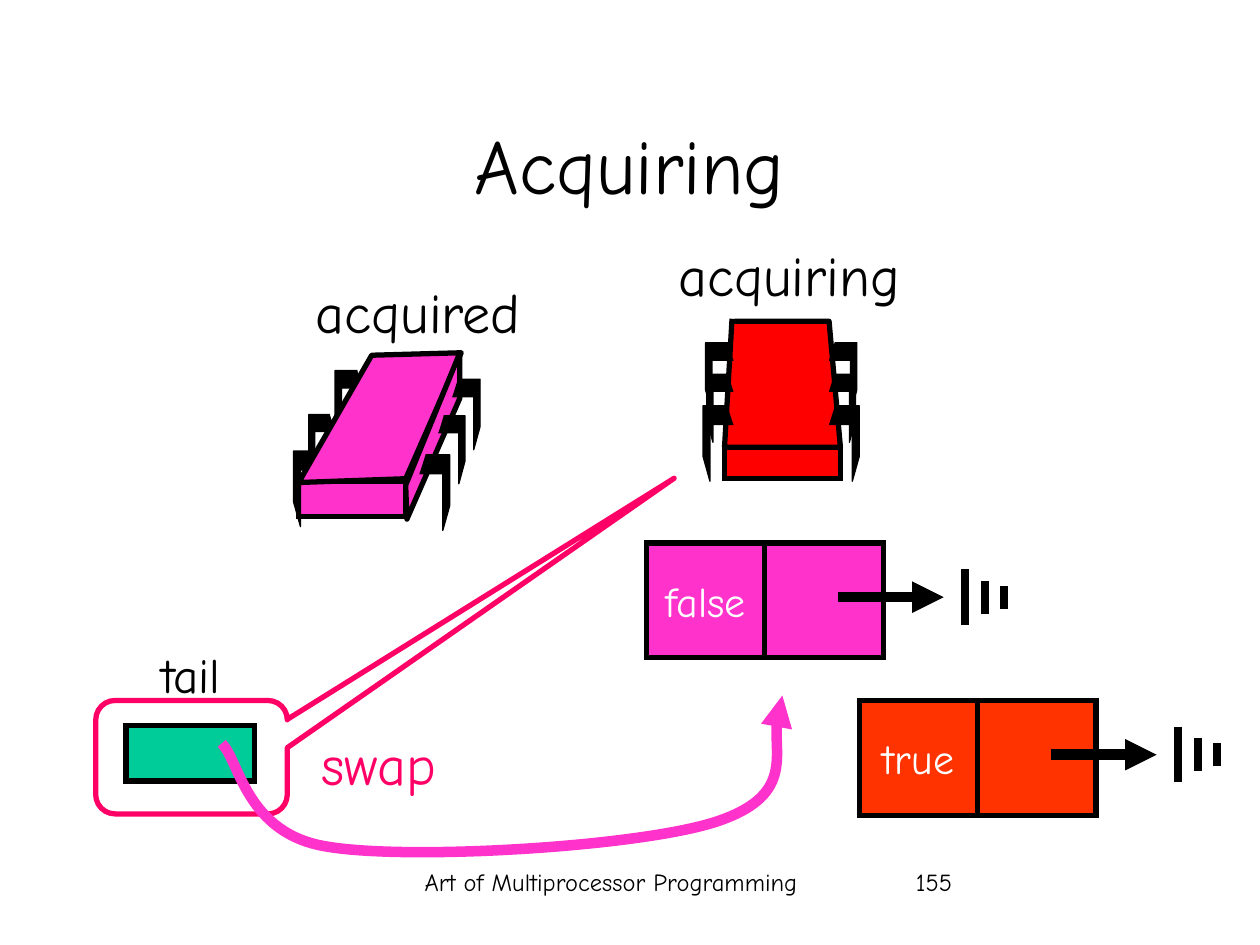
from lxml.etree import SubElement
from pptx import Presentation
from pptx.dml.color import RGBColor
from pptx.enum.shapes import MSO_CONNECTOR, MSO_SHAPE
from pptx.enum.text import MSO_ANCHOR, MSO_AUTO_SIZE, PP_ALIGN
from pptx.oxml.ns import qn
from pptx.util import Inches, Pt

CELL = Inches(1)
COLS, ROWS = 10, 7.5
FONT = "Comic Neue"
BLACK, WHITE, GREEN = "000000", "FFFFFF", "00CC99"
PINK, RED, ORANGE, ROSE = "FF33CC", "FF0000", "FF3300", "FF0066"
LEFT, CENTER, RIGHT = PP_ALIGN.LEFT, PP_ALIGN.CENTER, PP_ALIGN.RIGHT


def grid(*values):
    return [round(v * CELL) for v in values]


def paint(fill, color):
    if color is None:
        fill.background()
    else:
        fill.solid()
        fill.fore_color.rgb = RGBColor.from_string(color)


def apply(obj, formats):
    for name, value in formats.items():
        setattr(obj, name, value)


def outline(sp, color, width):
    paint(sp.line.fill, color)
    sp.line.width = Pt(width)
    return sp.line._get_or_add_ln()


def arrowhead(ln):
    SubElement(ln, qn("a:tailEnd"), type="triangle")


def write(sp, text, size, color, align, anchor, wrap, grow=False):
    tf = sp.text_frame
    size_rule = MSO_AUTO_SIZE.SHAPE_TO_FIT_TEXT if grow else MSO_AUTO_SIZE.NONE
    apply(tf, {"word_wrap": wrap, "vertical_anchor": anchor, "auto_size": size_rule})
    p = tf.paragraphs[0]
    p.alignment = align
    r = p.add_run()
    r.text = text
    apply(r.font, {"size": Pt(size), "name": FONT})
    paint(r.font.fill, color)


def label(shapes, box, text, size, color=BLACK, align=CENTER,
          anchor=MSO_ANCHOR.TOP, wrap=True, grow=False):
    sp = shapes.add_textbox(*grid(*box))
    write(sp, text, size, color, align, anchor, wrap, grow)


def block(shapes, kind, box, fill, line=BLACK):
    sp = shapes.add_shape(kind, *grid(*box))
    sp.shadow.inherit = False
    paint(sp.fill, fill)
    ln = outline(sp, line, 3)
    if kind == MSO_SHAPE.RECTANGLE:
        SubElement(ln, qn("a:miter"), lim="800000")
    return sp


def line(shapes, start, end, width, arrow=False):
    c = shapes.add_connector(MSO_CONNECTOR.STRAIGHT, *grid(*start, *end))
    ln = outline(c, BLACK, width)
    if arrow:
        arrowhead(ln)
    SubElement(c._element.spPr, qn("a:effectLst"))


def outline_shape(shapes, points, fill, color=BLACK, width=3, close=False):
    first, *rest = [grid(*point) for point in points]
    builder = shapes.build_freeform(*first)
    builder.add_line_segments(rest, close=close)
    sp = builder.convert_to_shape()
    sp.shadow.inherit = False
    paint(sp.fill, fill)
    outline(sp, color, width)
    return sp


def curved_arrow(shapes, points, color):
    sp = outline_shape(shapes, points, None, color, 6)
    segments = list(sp._element.iter(qn("a:lnTo")))
    for i in range(0, len(segments), 3):
        curve = SubElement(segments[i].getparent(), qn("a:cubicBezTo"))
        for segment in segments[i:i + 3]:
            curve.append(segment[0])
            segment.getparent().remove(segment)
    arrowhead(sp.line._get_or_add_ln())


def leg(shapes, x, y, w, h, left):
    profile = [(0.8, 0), (0, 0), (0, 0.67), (0.23, 1), (0.23, 0.25), (1, 0.25)]
    points = [(x + w * (u if left else 1 - u), y + h * v) for u, v in profile]
    outline_shape(shapes, points, BLACK, width=0.75)


def legs(shapes, places, left):
    for (x, y), (w, h) in zip(places, [(0.24, 0.6), (0.21, 0.54), (0.22, 0.56)]):
        leg(shapes, x, y, w, h, left)


def node(s, x, y, text, fill):
    w, h = 0.94, 0.91
    flag, link = [block(s.shapes, MSO_SHAPE.RECTANGLE, (x + i * w, y, w, h), fill)
                  for i in range(2)]
    write(flag, text, 24, WHITE, CENTER, MSO_ANCHOR.MIDDLE, False)
    mid = y + 0.43
    line(s.shapes, (x + 1.52, mid), (x + 2.36, mid), 6, arrow=True)
    ground = s.shapes.add_group_shape().shapes
    for i, half in enumerate((0.22, 0.13, 0.09)):
        bar = x + 2.53 + i * 0.155
        line(ground, (bar, mid - half), (bar, mid + half), 4.5)


def acquired_thread(s):
    shapes = s.shapes.add_group_shape().shapes
    block(shapes, MSO_SHAPE.RECTANGLE, (2.37, 3.82, 0.85, 0.28), PINK)
    legs(shapes, [(2.33, 3.58), (2.45, 3.29), (2.66, 2.94)], True)
    top = [(2.37, 3.83), (3.22, 3.8), (3.66, 2.8), (2.95, 2.82)]
    side = [(3.65, 2.8), (3.65, 3.16), (3.23, 4.12), (3.22, 3.85)]
    for face in (top, side):
        outline_shape(shapes, face, PINK, close=True)
    legs(shapes, [(3.33, 3.61), (3.48, 3.3), (3.59, 3.01)], False)
    label(shapes, (2.34, 2.15, 1.96, 0.63), "acquired", 32, wrap=False, grow=True)


def acquiring_thread(s):
    shapes = s.shapes.add_group_shape().shapes
    block(shapes, MSO_SHAPE.RECTANGLE, (5.75, 3.55, 0.92, 0.25), RED)
    top = [(5.83, 2.55), (6.58, 2.55), (6.67, 3.55), (5.75, 3.55), (5.81, 2.53)]
    outline_shape(shapes, top, RED)
    rows = [3.22, 2.97, 2.72]
    legs(shapes, [(6.58, y) for y in rows], False)
    legs(shapes, zip((5.58, 5.61, 5.6), rows), True)
    label(shapes, (5.24, 1.86, 2.05, 0.63), "acquiring", 32, wrap=False, grow=True)


def main():
    prs = Presentation()
    prs.slide_width, prs.slide_height = grid(COLS, ROWS)
    s = prs.slides.add_slide(prs.slide_layouts[6])
    label(s.shapes, (2.89, 6.83, 3.92, 0.5), "Art of Multiprocessor Programming", 14)
    label(s.shapes, (7.17, 6.83, 2.08, 0.5), "155", 14, align=LEFT)
    label(s.shapes, (0.75, 0.67, 8.5, 1.25), "Acquiring", 44, anchor=MSO_ANCHOR.MIDDLE)
    block(s.shapes, MSO_SHAPE.RECTANGLE, (1, 5.76, 1.02, 0.44), GREEN)
    label(s.shapes, (0.82, 5.07, 1.03, 0.57), "tail", 28, align=RIGHT, grow=True)
    node(s, 5.13, 4.31, "false", PINK)
    acquired_thread(s)
    acquiring_thread(s)
    node(s, 6.82, 5.56, "true", ORANGE)
    callout = block(s.shapes, MSO_SHAPE.ROUNDED_RECTANGULAR_CALLOUT,
                    (0.76, 5.56, 1.52, 0.9), None, ROSE)
    for i, value in enumerate((2.52, -2.46, 0.17)):
        callout.adjustments[i] = value
    label(s.shapes, (1.81, 5.74, 2.39, 0.63), "swap", 32, ROSE, grow=True)
    curved_arrow(s.shapes, [(1.76, 5.9), (1.9, 6.03), (1.95, 6.62), (2.6, 6.72),
                            (3.26, 6.83), (5.09, 6.72), (5.69, 6.52),
                            (6.29, 6.32), (6.1, 5.73), (6.21, 5.52)], PINK)
    prs.save("out.pptx")


if __name__ == "__main__":
    main()
